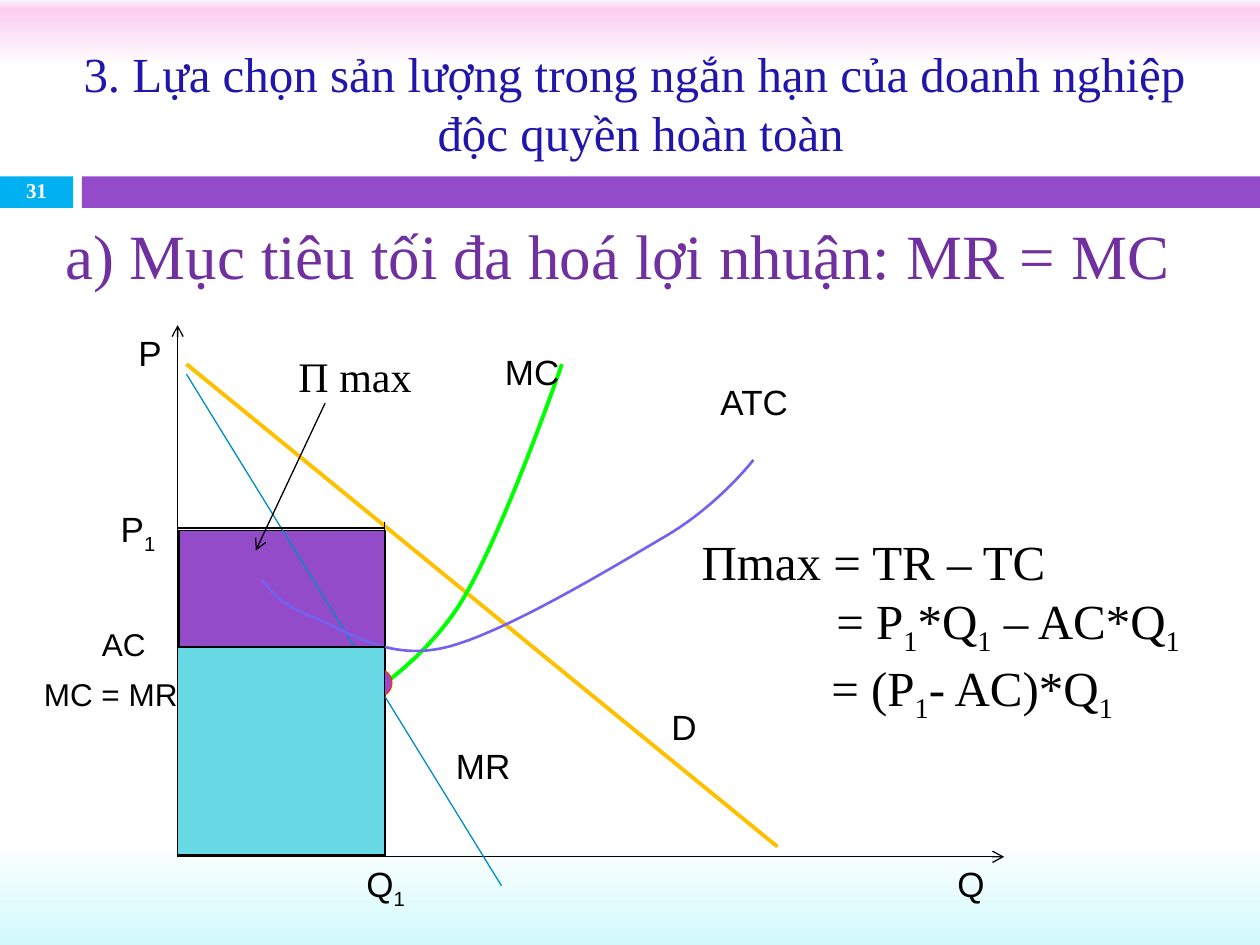
from dataclasses import dataclass
from typing import Optional

from lxml import etree
from pptx import Presentation
from pptx.dml.color import RGBColor
from pptx.enum.shapes import MSO_CONNECTOR, MSO_SHAPE
from pptx.enum.text import MSO_ANCHOR as Anchor, MSO_AUTO_SIZE as AutoSize, PP_ALIGN as Align
from pptx.oxml import parse_xml
from pptx.oxml.ns import nsdecls, qn
from pptx.util import Inches, Pt

COLORS = {
    "black": "000000", "white": "FFFFFF", "sky": "00B0F0", "purple": "934BC9",
    "heading": "7030A0", "title": "2116AA", "demand": "FFC000", "mr": "008DC0",
    "mc": "00FF00", "atc": "7561ED", "dot": "FF3300", "cost": "69D9E5",
}
BACKGROUND = [(0, "FAF6FC"), (1, "FBCDF1"), (7, "FFFFFF"), (89, "FFFFFF"), (100, "D1F9FB")]
SERIF, SANS = "Times New Roman", "Arial"

# Chart anchors
X0, Y0 = 1.41, 6.8
Q1 = 3.05


@dataclass
class Box:
    x: float
    y: float
    w: float
    h: float
    fill: str
    line: Optional[str] = None
    kind: int = MSO_SHAPE.RECTANGLE


@dataclass
class Line:
    start: tuple
    end: tuple
    color: str = "black"
    width: float = 0.75
    arrow: bool = False


@dataclass
class Curve:
    """Cubic curve: each three points are two controls and an end."""
    start: tuple
    points: list
    color: str
    width: float


@dataclass
class Label:
    """Text whose lines may mark a subscript character with an underscore."""
    x: float
    y: float
    w: float
    h: float
    lines: list
    size: float = 20
    font: str = SANS
    color: str = "black"
    bold: bool = False
    align: int = Align.LEFT
    wrap: bool = False
    anchor: int = Anchor.TOP
    spacing: Optional[float] = None
    indents: tuple = ()


def rgb(name: str) -> RGBColor:
    return RGBColor.from_string(COLORS[name])


def draw_box(s, b: Box) -> None:
    sp = s.shapes.add_shape(b.kind, *map(Inches, (b.x, b.y, b.w, b.h)))
    sp.shadow.inherit = False
    sp.fill.solid()
    sp.fill.fore_color.rgb = rgb(b.fill)
    if b.line:
        sp.line.color.rgb = rgb(b.line)
        sp.line.width = Pt(0.75)
    else:
        sp.line.fill.background()


def draw_line(s, ln: Line) -> None:
    sp = s.shapes.add_connector(MSO_CONNECTOR.STRAIGHT, *map(Inches, ln.start + ln.end))
    sp.line.color.rgb = rgb(ln.color)
    sp.line.width = Pt(ln.width)
    if ln.arrow:
        etree.SubElement(sp.line._get_or_add_ln(), qn("a:tailEnd"), type="arrow")
    etree.SubElement(sp._element.spPr, qn("a:effectLst"))


def draw_curve(s, c: Curve) -> None:
    fb = s.shapes.build_freeform(*map(Inches, c.start))
    fb.add_line_segments([tuple(map(Inches, pt)) for pt in c.points], close=False)
    sp = fb.convert_to_shape()
    # Join each three straight segments into one cubic segment
    segments = list(sp._element.iter(qn("a:lnTo")))
    for i in range(0, len(segments), 3):
        cubic = etree.Element(qn("a:cubicBezTo"))
        segments[i].addprevious(cubic)
        for segment in segments[i:i + 3]:
            cubic.append(segment[0])
            segment.getparent().remove(segment)
    sp.shadow.inherit = False
    sp.fill.background()
    sp.line.color.rgb = rgb(c.color)
    sp.line.width = Pt(c.width)


def add_run(p, text: str, label: Label, subscript: bool = False) -> None:
    r = p.add_run()
    r.text = text
    r.font.color.rgb = rgb(label.color)
    formats = {"name": label.font, "size": Pt(label.size), "bold": label.bold}
    for name, value in formats.items():
        setattr(r.font, name, value)
    if subscript:
        r.font._element.set("baseline", "-25000")


def draw_label(s, lb: Label) -> None:
    tf = s.shapes.add_textbox(*map(Inches, (lb.x, lb.y, lb.w, lb.h))).text_frame
    grows = lb.anchor == Anchor.TOP
    formats = {"word_wrap": lb.wrap, "vertical_anchor": lb.anchor,
               "auto_size": AutoSize.SHAPE_TO_FIT_TEXT if grows else AutoSize.NONE}
    for name, value in formats.items():
        setattr(tf, name, value)
    for i, line in enumerate(lb.lines):
        p = tf.add_paragraph() if i else tf.paragraphs[0]
        p.alignment = lb.align
        p.line_spacing = lb.spacing
        if lb.indents:
            p._p.get_or_add_pPr().set("marL", str(Inches(lb.indents[i])))
        for j, row in enumerate(line.split("\n")):
            if j:
                p.add_line_break()
            base, *marked = row.split("_")
            add_run(p, base, lb)
            for part in marked:
                add_run(p, part[0], lb, subscript=True)
                if part[1:]:
                    add_run(p, part[1:], lb)


def set_background(s) -> None:
    stops = "".join(f'<a:gs pos="{pos * 1000}"><a:srgbClr val="{color}"/></a:gs>'
                    for pos, color in BACKGROUND)
    s.background.fill.solid()
    solid = s._element.cSld.bg.bgPr.find(qn("a:solidFill"))
    solid.getparent().replace(solid, parse_xml(
        f'<a:gradFill {nsdecls("a")} rotWithShape="1"><a:gsLst>{stops}</a:gsLst>'
        '<a:lin ang="5400000" scaled="0"/></a:gradFill>'))


PARTS = [
    # Title band
    Box(0, 1.35, 10, 0.35, "white"),
    Box(0, 1.4, 0.58, 0.25, "sky"),
    Box(0.65, 1.4, 9.35, 0.25, "purple"),
    # Profit area, heading and axes
    Box(1.42, 4.21, 1.64, 2.58, "purple", "black"),
    Label(0.42, 1.67, 9.06, 0.71, ["a) Mục tiêu tối đa hoá lợi nhuận: MR = MC"],
          36, SERIF, "heading"),
    Line((X0, Y0), (X0, 2.58), arrow=True),
    Line((X0, Y0), (7.97, Y0), arrow=True),
    # Demand, marginal revenue and cost curves
    Line((1.48, 2.89), (6.17, 6.72), "demand", 2.25),
    Line((1.48, 2.97), (3.98, 7.03), "mr"),
    Curve((1.8, 5.28), [(1.96, 5.55), (2.13, 5.82), (2.43, 5.75),
                        (2.73, 5.68), (3.26, 5.35), (3.6, 4.87),
                        (3.94, 4.4), (4.46, 2.89), (4.46, 2.89)], "mc", 2.25),
    Curve((2.08, 4.6), [(2.16, 4.71), (2.25, 4.81), (2.49, 4.9),
                        (2.73, 4.99), (3.06, 5.25), (3.53, 5.14),
                        (4, 5.03), (4.9, 4.48), (5.31, 4.24),
                        (5.72, 3.99), (5.98, 3.65), (5.98, 3.65)], "atc", 1.5),
    Label(5.23, 5.55, 0.4, 0.44, ["D"]),
    Label(3.52, 5.86, 0.64, 0.44, ["MR"]),
    Label(5.62, 2.97, 0.74, 0.44, ["ATC"]),
    Label(3.91, 2.73, 0.64, 0.44, ["MC"]),
    # Guide lines at the chosen output
    Line((Q1, 4.14), (Q1, Y0)),
    *[Line((Q1, y), (X0, y)) for y in (5.47, 4.19, 5.13)],
    # Axis labels
    Label(7.5, 6.8, 0.42, 0.44, ["Q"]),
    Label(1, 2.58, 0.33, 0.44, ["P"], wrap=True),
    Label(2.81, 6.8, 0.52, 0.44, ["Q_1"]),
    Label(0.86, 3.98, 0.49, 0.44, ["P_1"]),
    Label(0.25, 5.31, 1.27, 0.4, ["MC = MR"], 18),
    Label(0.71, 4.91, 0.83, 0.4, ["AC"], 18, wrap=True),
    # Optimum point, profit callout and formula
    Box(2.89, 5.31, 0.22, 0.22, "purple", "dot", MSO_SHAPE.OVAL),
    Label(2.27, 2.73, 1.11, 0.51, ["Π max"], 24, SERIF),
    Line((2.58, 3.2), (2.03, 4.37), arrow=True),
    Label(5.47, 4.17, 4.77, 1.51,
          ["Πmax = TR – TC", "= P_1*Q_1 – AC*Q_1", "= (P_1- AC)*Q_1"],
          28, SERIF, align=Align.JUSTIFY, wrap=True, indents=(0, 1.07, 1.03)),
    # Total cost area
    Box(X0, 5.14, 1.64, 1.64, "cost", "black"),
    # Title and slide number
    Label(0.17, 0.27, 9.83, 1.08,
          ["3. Lựa chọn sản lượng trong ngắn hạn của doanh nghiệp \nđộc quyền hoàn toàn"],
          28, SERIF, "title", align=Align.CENTER, wrap=True, anchor=Anchor.MIDDLE),
    Label(0, 1.39, 0.58, 0.27, ["31"], 12, SERIF, "white", True, Align.CENTER,
          True, Anchor.MIDDLE, 0.8),
]
DRAW = {Box: draw_box, Line: draw_line, Curve: draw_curve, Label: draw_label}


def main() -> None:
    prs = Presentation()
    prs.slide_width, prs.slide_height = Inches(10), Inches(7.5)
    s = prs.slides.add_slide(prs.slide_layouts[6])
    set_background(s)
    for part in PARTS:
        DRAW[type(part)](s, part)
    prs.save("out.pptx")


if __name__ == "__main__":
    main()
